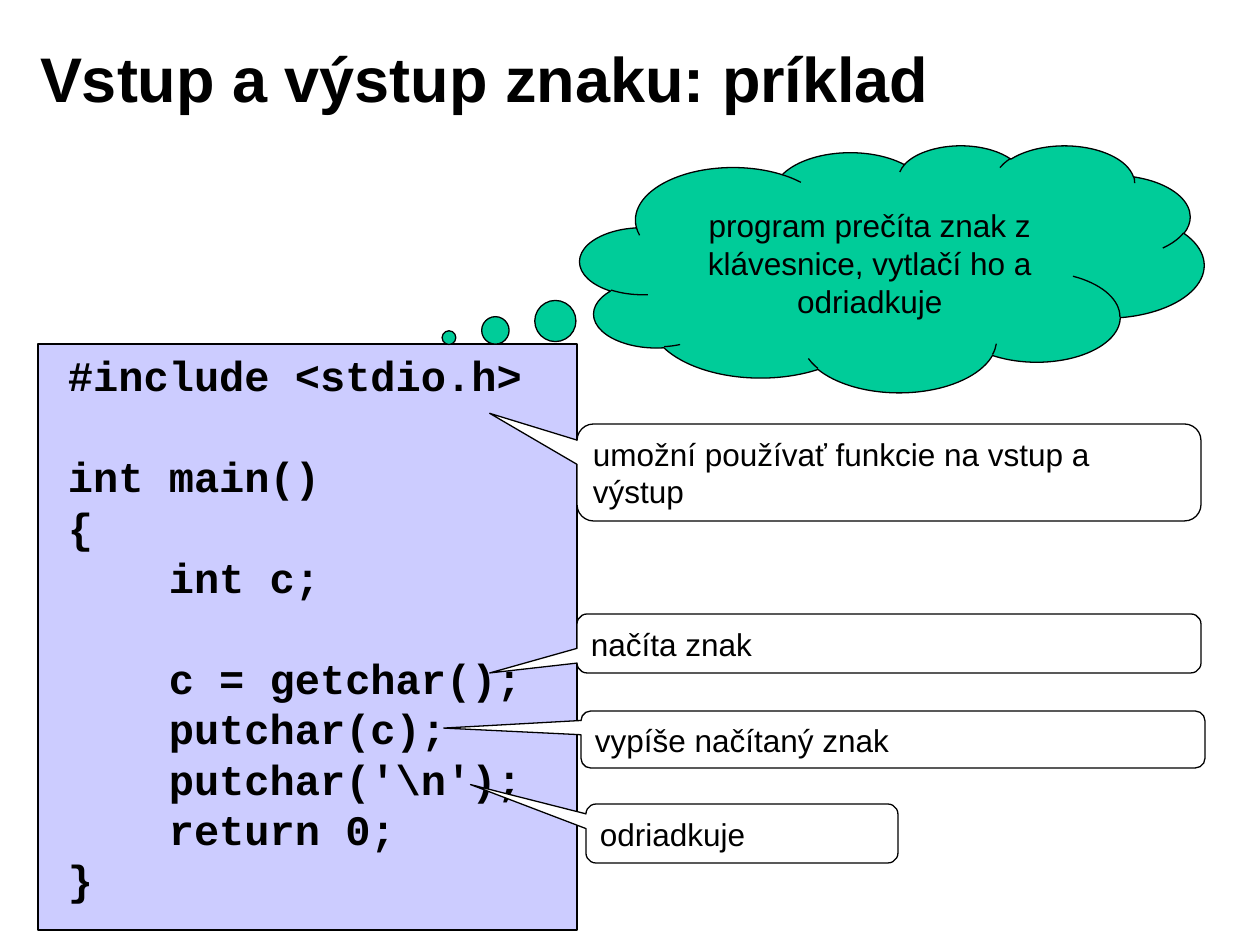
import pptx
import pptx.util
import pptx.dml.color
import pptx.enum.shapes
import pptx.enum.text

SHAPE = pptx.enum.shapes.MSO_SHAPE
ALIGN = pptx.enum.text.PP_ALIGN
ANCHOR = pptx.enum.text.MSO_ANCHOR

PX_PER_INCH = 126
COLORS = {"ink": "000000", "code": "CCCCFF", "cloud": "00CC99", "note": "FFFFFF"}

CODE = r"""#include <stdio.h>

int main()
{
    int c;

    c = getchar();
    putchar(c);
    putchar('\n');
    return 0;
}"""

# Text, box in px, pointer tip relative to the box centre
NOTES = [
    ("umožní používať funkcie na vstup a výstup", (577, 424, 624, 97), (-0.64, -0.61)),
    ("načíta znak", (577, 614, 624, 59), (-0.64, 0.5)),
    ("vypíše načítaný znak", (581, 711, 624, 57), (-0.72, -0.2)),
    ("odriadkuje", (586, 804, 312, 59), (-0.87, -0.83)),
]


def px(n):
    return pptx.util.Emu(round(n * 914400 / PX_PER_INCH))


def rgb(name):
    return pptx.dml.color.RGBColor.from_string(COLORS[name])


class Builder:
    def __init__(self, prs):
        self.slide = prs.slides.add_slide(prs.slide_layouts[5])

    def set_text(self, sp, text, size, font="Arial", bold=False,
                 align=ALIGN.LEFT, anchor=ANCHOR.MIDDLE):
        tf = sp.text_frame
        tf.word_wrap = True
        tf.vertical_anchor = anchor
        tf.auto_size = pptx.enum.text.MSO_AUTO_SIZE.NONE
        tf.margin_left = tf.margin_right = px(11)
        tf.margin_top = tf.margin_bottom = px(6)
        tf.text = text
        for p in tf.paragraphs:
            p.alignment = align
            p.font.name = font
            p.font.size = pptx.util.Pt(size)
            p.font.bold = bold
            p.font.color.rgb = rgb("ink")

    def title(self, text, box):
        sp = self.slide.shapes.title
        sp.left, sp.top, sp.width, sp.height = map(px, box)
        self.set_text(sp, text, 36, bold=True)

    def shape(self, kind, box, fill, adjustments=()):
        sp = self.slide.shapes.add_shape(kind, *map(px, box))
        sp.shadow.inherit = False
        sp.fill.solid()
        sp.fill.fore_color.rgb = rgb(fill)
        sp.line.color.rgb = rgb("ink")
        sp.line.width = pptx.util.Pt(0.75)
        for i, value in enumerate(adjustments):
            sp.adjustments[i] = value
        return sp

    def code(self, text, box):
        sp = self.slide.shapes.add_textbox(*map(px, box))
        self.set_text(sp, text, 24, font="Courier New", bold=True, anchor=ANCHOR.TOP)

    def cloud(self, text, box, tip):
        sp = self.shape(SHAPE.CLOUD_CALLOUT, box, "cloud", tip)
        self.set_text(sp, text, 18, align=ALIGN.CENTER)

    def note(self, text, box, tip):
        sp = self.shape(SHAPE.ROUNDED_RECTANGULAR_CALLOUT, box, "note", (*tip, 0.17))
        self.set_text(sp, text, 18)


def main():
    prs = pptx.Presentation()
    prs.slide_width, prs.slide_height = px(1260), px(945)
    b = Builder(prs)

    b.title("Vstup a výstup znaku: príklad", (29, 19, 1012, 117))

    # Program listing on its panel
    b.shape(SHAPE.RECTANGLE, (38, 344, 539, 586), "code")
    b.code(CODE, (57, 344, 491, 566))

    # What the program does, then notes on its lines
    b.cloud("program prečíta znak z klávesnice, vytlačí ho a odriadkuje",
            (580, 145, 624, 247), (-0.71, 0.28))
    for text, box, tip in NOTES:
        b.note(text, box, tip)

    prs.save("out.pptx")


if __name__ == "__main__":
    main()
